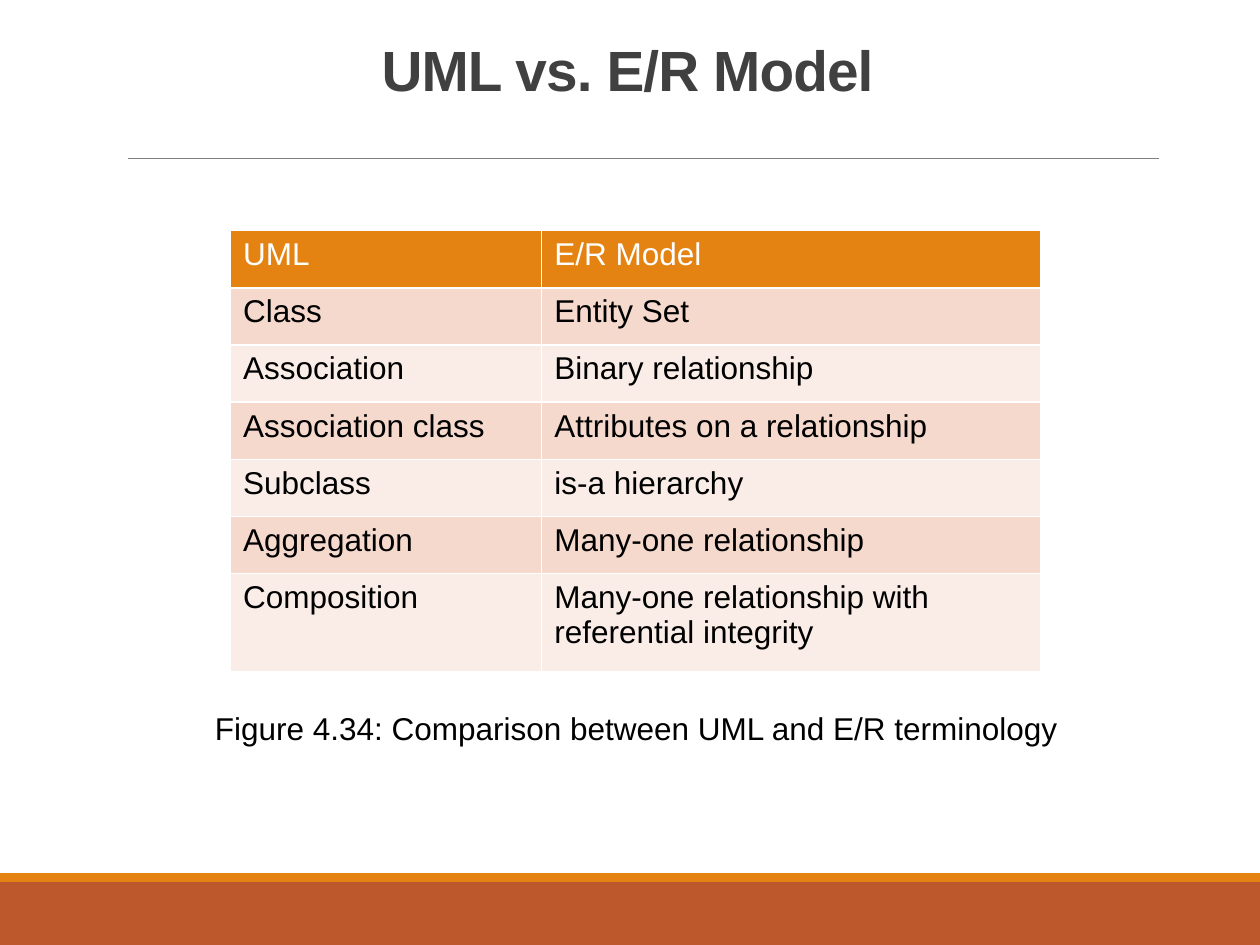
from lxml import etree
from pptx import Presentation
from pptx.dml.color import RGBColor
from pptx.enum.shapes import MSO_CONNECTOR, MSO_SHAPE
from pptx.enum.text import MSO_ANCHOR, PP_ALIGN
from pptx.oxml.ns import qn
from pptx.util import Inches, Pt

RECT = MSO_SHAPE.RECTANGLE
STRAIGHT = MSO_CONNECTOR.STRAIGHT
CENTER = PP_ALIGN.CENTER
TOP = MSO_ANCHOR.TOP

FONT = "Arial"
BLACK = RGBColor(0, 0, 0)
WHITE = RGBColor(255, 255, 255)
GRAY = RGBColor(0x80, 0x80, 0x80)
DARK = RGBColor(0x40, 0x40, 0x40)
ORANGE = RGBColor(0xE4, 0x83, 0x12)
RUST = RGBColor(0xBD, 0x58, 0x2C)
BANDS = [RGBColor(0xFA, 0xED, 0xE7), RGBColor(0xF5, 0xD9, 0xCC)]

TITLE = "UML vs. E/R Model"
CAPTION = "Figure 4.34: Comparison between UML and E/R terminology"
ROWS = [
    ("UML", "E/R Model"),
    ("Class", "Entity Set"),
    ("Association", "Binary relationship"),
    ("Association class", "Attributes on a relationship"),
    ("Subclass", "is-a hierarchy"),
    ("Aggregation", "Many-one relationship"),
    ("Composition", "Many-one relationship with\nreferential integrity"),
]
COL_WIDTHS = [2.47, 3.96]
ROW_HEIGHT, LAST_HEIGHT = 0.454, 0.78
SLIDE_W, SLIDE_H = 10, 7.5
FOOTER_H, STRIPE_H = 0.5, 0.07


def add_run(p, text, size, color, bold=False):
    r = p.add_run()
    r.text = text
    r.font.name, r.font.size, r.font.bold = FONT, Pt(size), bold
    r.font.color.rgb = color
    return r


def add_bar(s, top, height, color):
    sp = s.shapes.add_shape(RECT, 0, Inches(top), Inches(SLIDE_W), Inches(height))
    sp.shadow.inherit = False
    sp.fill.solid()
    sp.fill.fore_color.rgb = color
    sp.line.fill.background()


def add_text(s, box, text, size, color, bold=False, wrap=True):
    tf = s.shapes.add_textbox(*map(Inches, box)).text_frame
    tf.word_wrap = wrap
    tf.vertical_anchor = TOP
    p = tf.paragraphs[0]
    p.alignment = CENTER
    return p, add_run(p, text, size, color, bold)


def add_borders(cell, color, width):
    tc_pr = cell._tc.get_or_add_tcPr()
    for side in ("lnL", "lnR", "lnT", "lnB"):
        ln = etree.SubElement(tc_pr, qn(f"a:{side}"), w=str(Pt(width)))
        fill = etree.SubElement(ln, qn("a:solidFill"))
        etree.SubElement(fill, qn("a:srgbClr"), val=str(color))


def add_comparison(s):
    heights = [ROW_HEIGHT] * (len(ROWS) - 1) + [LAST_HEIGHT]
    size = Inches(sum(COL_WIDTHS)), Inches(sum(heights))
    table = s.shapes.add_table(
        len(ROWS), len(COL_WIDTHS), Inches(1.83), Inches(1.83), *size).table
    for col, width in zip(table.columns, COL_WIDTHS):
        col.width = Inches(width)
    for i, (texts, height) in enumerate(zip(ROWS, heights)):
        table.rows[i].height = Inches(height)
        for j, text in enumerate(texts):
            cell = table.cell(i, j)
            add_borders(cell, WHITE, 1)
            cell.fill.solid()
            cell.fill.fore_color.rgb = BANDS[i % 2] if i else ORANGE
            tf = cell.text_frame
            for n, line in enumerate(text.split("\n")):
                p = tf.add_paragraph() if n else tf.paragraphs[0]
                add_run(p, line, 18, BLACK if i else WHITE)


def main():
    prs = Presentation()
    prs.slide_width, prs.slide_height = Inches(SLIDE_W), Inches(SLIDE_H)
    s = prs.slides.add_slide(prs.slide_layouts[6])

    footer_top = SLIDE_H - FOOTER_H
    add_bar(s, footer_top, FOOTER_H, RUST)
    add_bar(s, footer_top - STRIPE_H, STRIPE_H, ORANGE)

    rule = s.shapes.add_connector(
        STRAIGHT, Inches(1.02), Inches(1.26), Inches(9.2), Inches(1.26))
    rule.line.color.rgb = GRAY
    rule.line.width = Pt(0.5)
    etree.SubElement(rule._element.spPr, qn("a:effectLst"))

    add_comparison(s)

    p, r = add_text(s, (0.64, 0.31, 8.68, 0.92), TITLE, 32.4, DARK, bold=True)
    p.line_spacing = 0.85
    r.font._element.set("spc", "-50")
    add_text(s, (1.5, 5.58, 7.1, 0.4), CAPTION, 18, BLACK, wrap=False)

    prs.save("out.pptx")


if __name__ == "__main__":
    main()
